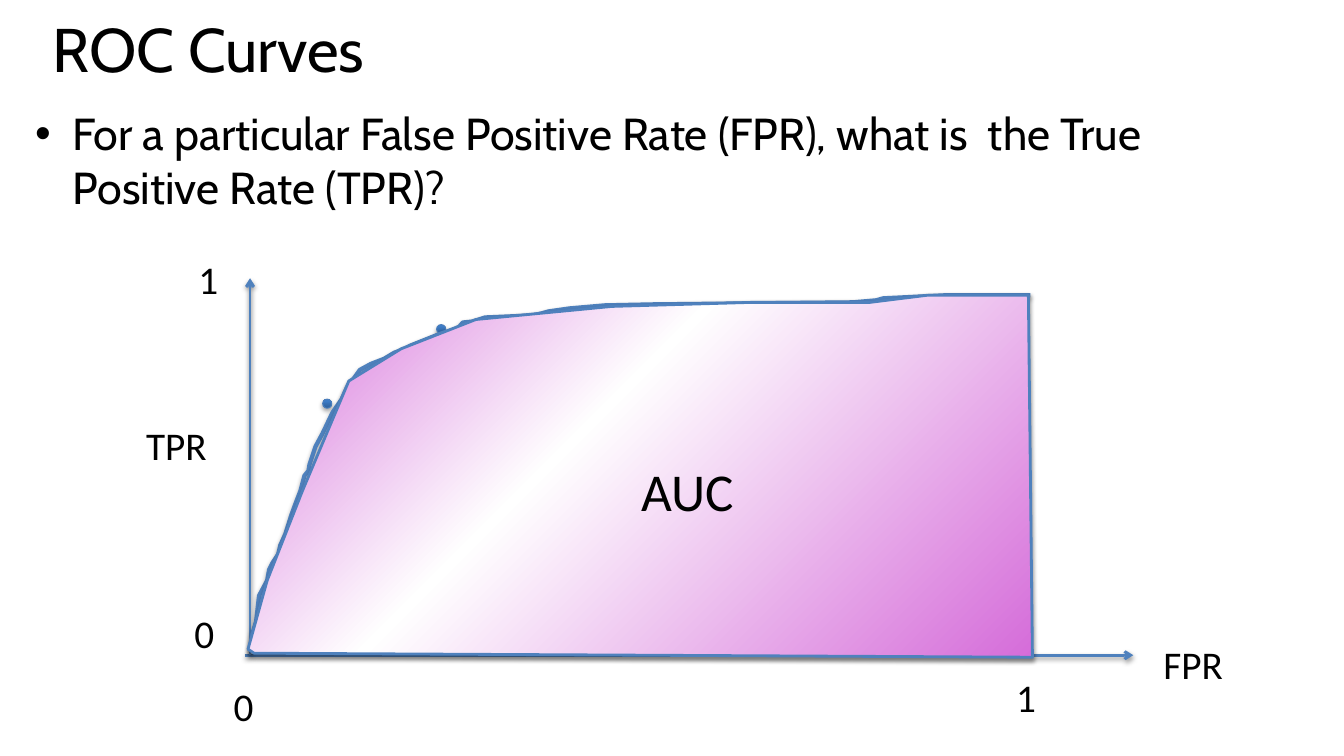
import pptx
import pptx.dml.color
import pptx.enum.shapes
import pptx.enum.text
import pptx.oxml
import pptx.oxml.ns
import pptx.util
from lxml import etree

Inches, Pt = pptx.util.Inches, pptx.util.Pt
qn = pptx.oxml.ns.qn

COLORS = {
    "text": "000000", "paper": "FFFFFF", "line": "4F81BD", "dot_line": "4B7EBC",
    "dot_dark": "2F5F99", "dot_mid": "3D7CC7", "dot_light": "3A7CCB",
    "area": "D56CD9", "shadow": "000000",
}

# Places within the plot, in inches from its top left corner
PLOT_BOX = (1.35, 2.48, 10.89, 4.81)
LABELS = [
    ("FPR", 10.09, 3.82, 0.8, 0.57, 28),
    ("TPR", 0, 1.65, 0.81, 0.57, 28),
    ("1", 0.52, 0, 0.4, 0.57, 28),
    ("1", 8.63, 4.15, 0.4, 0.57, 28),
    ("0", 0.87, 4.24, 0.4, 0.57, 28),
    ("0", 0.48, 3.52, 0.4, 0.57, 28),
]
AUC_LABEL = ("AUC", 4.91, 2.02, 1.14, 0.74, 38)
AXES = [((1.08, 4.02), (9.89, 4.02)), ((1.13, 4.02), (1.13, 0.28))]
DOTS = [(1.85, 1.48), (2.98, 0.74), (4.91, 0.54)]
DOT_SIZE = 0.09
CURVE = [
    (1.13, 3.98), (1.15, 3.82), (1.19, 3.69), (1.22, 3.43), (1.3, 3.28),
    (1.32, 3.17), (1.35, 3.11), (1.41, 3.02), (1.43, 2.93), (1.48, 2.82),
    (1.54, 2.63), (1.58, 2.52), (1.63, 2.39), (1.67, 2.24), (1.71, 2.19),
    (1.72, 2.13), (1.78, 1.95), (1.85, 1.82), (1.95, 1.61), (2.04, 1.48),
    (2.09, 1.37), (2.17, 1.26), (2.22, 1.19), (2.33, 1.13), (2.46, 1.08),
    (2.56, 1.02), (2.67, 0.98), (2.72, 0.95), (3.02, 0.83), (3.19, 0.78),
    (3.24, 0.72), (3.34, 0.71), (3.46, 0.67), (3.93, 0.65), (4.02, 0.63),
    (4.09, 0.61), (4.3, 0.58), (4.65, 0.55), (5.13, 0.54), (7.11, 0.52),
    (7.34, 0.5), (7.41, 0.48), (8.02, 0.45), (8.87, 0.45),
]
AREA = [
    (1.11, 3.96), (1.3, 3.28), (1.65, 2.39), (2.11, 1.3), (2.63, 0.98),
    (3.37, 0.69), (4.72, 0.56), (6.11, 0.52), (7.28, 0.52), (7.84, 0.45),
    (8.85, 0.45), (8.89, 4.04), (1.17, 4),
]


def color(name):
    return pptx.dml.color.RGBColor.from_string(COLORS[name])


def add_child(parent, tag, **attributes):
    return etree.SubElement(parent, qn(tag), attributes)


def set_line(shape, name, width):
    shape.line.color.rgb = color(name)
    shape.line.width = Pt(width)


def add_shadow(shape, opacity=38, distance=1.6):
    properties = shape._element.spPr
    effects = properties.find(qn("a:effectLst"))
    if effects is None:
        effects = add_child(properties, "a:effectLst")
    shadow = add_child(effects, "a:outerShdw", blurRad=str(Pt(3.1)), dist=str(Pt(distance)),
                       dir="5400000", rotWithShape="0")
    tint = add_child(shadow, "a:srgbClr", val=COLORS["shadow"])
    add_child(tint, "a:alpha", val=str(opacity * 1000))


def set_gradient(shape, stops, angle=None):
    """Linear at the given angle, or circular from the bottom right corner."""
    shape.fill.gradient()
    gradient = shape._element.spPr.find(qn("a:gradFill"))
    for child in list(gradient):
        gradient.remove(child)
    stop_list = add_child(gradient, "a:gsLst")
    for position, name in stops:
        stop = add_child(stop_list, "a:gs", pos=str(position * 1000))
        add_child(stop, "a:srgbClr", val=COLORS[name])
    if angle is None:
        circle = add_child(gradient, "a:path", path="circle")
        add_child(circle, "a:fillToRect", l="100000", t="100000")
    else:
        add_child(gradient, "a:lin", ang=str(angle * 60000), scaled="0")


def add_text(page, box, text, size, font, wrap=True):
    shape = page.shapes.add_textbox(*map(Inches, box))
    frame = shape.text_frame
    frame.word_wrap = wrap
    if not wrap:
        frame.auto_size = pptx.enum.text.MSO_AUTO_SIZE.SHAPE_TO_FIT_TEXT
    para = frame.paragraphs[0]
    span = para.add_run()
    span.text = text
    span.font.size = Pt(size)
    span.font.name = font
    span.font.color.rgb = color("text")
    return para


def add_title(page, box):
    para = add_text(page, box, "ROC Curves", 44, "Cabin")
    para.line_spacing = 0.8


def add_question(page, box):
    text = "For a particular False Positive Rate (FPR), what is  the True Positive Rate (TPR)?"
    para = add_text(page, box, text, 32, "Cabin")
    para.space_before = Pt(14)
    properties = para._p.get_or_add_pPr()
    properties.set("marL", str(Inches(0.37)))
    properties.set("indent", str(Inches(-0.37)))
    add_child(properties, "a:buFont", typeface="Arial")
    add_child(properties, "a:buChar", char="•")


def add_outline(page, points, width, close):
    builder = page.shapes.build_freeform(*map(Inches, points[0]))
    builder.add_line_segments([tuple(map(Inches, point)) for point in points[1:]], close=close)
    shape = builder.convert_to_shape()
    shape.shadow.inherit = False
    shape.fill.background()
    set_line(shape, "line", width)
    add_shadow(shape)
    return shape


def add_plot(page, box):
    left, top = box[:2]

    def place(point):
        return left + point[0], top + point[1]

    def add_label(text, x, y, width, height, size):
        add_text(page, (*place((x, y)), width, height), text, size, "Calibri", wrap=False)

    # Axes
    for start, end in AXES:
        axis = page.shapes.add_connector(pptx.enum.shapes.MSO_CONNECTOR.STRAIGHT,
                                         *map(Inches, place(start) + place(end)))
        set_line(axis, "line", 2)
        add_child(axis.line._get_or_add_ln(), "a:tailEnd", type="arrow")
        add_shadow(axis)

    # Axis labels
    for label in LABELS:
        add_label(*label)

    # Operating points
    for point in DOTS:
        dot = page.shapes.add_shape(pptx.enum.shapes.MSO_SHAPE.OVAL,
                                    *map(Inches, (*place(point), DOT_SIZE, DOT_SIZE)))
        dot.shadow.inherit = False
        set_gradient(dot, [(0, "dot_dark"), (80, "dot_mid"), (100, "dot_light")], angle=270)
        set_line(dot, "dot_line", 0.75)
        add_shadow(dot, opacity=35, distance=1.8)

    # Curve and the area under it
    add_outline(page, [place(point) for point in CURVE], 3, close=False)
    area = add_outline(page, [place(point) for point in AREA], 2, close=True)
    set_gradient(area, [(0, "area"), (59, "paper"), (100, "area")])
    add_label(*AUC_LABEL)


def main():
    deck = pptx.Presentation()
    deck.slide_width, deck.slide_height = Inches(13.33), Inches(7.5)
    page = deck.slides.add_slide(deck.slide_layouts[6])
    page.background.fill.solid()
    page.background.fill.fore_color.rgb = color("paper")
    add_title(page, (0.42, 0.2, 12.6, 1.16))
    add_question(page, (0.25, 1, 12.6, 1.52))
    add_plot(page, PLOT_BOX)
    deck.save("out.pptx")


if __name__ == "__main__":
    main()
